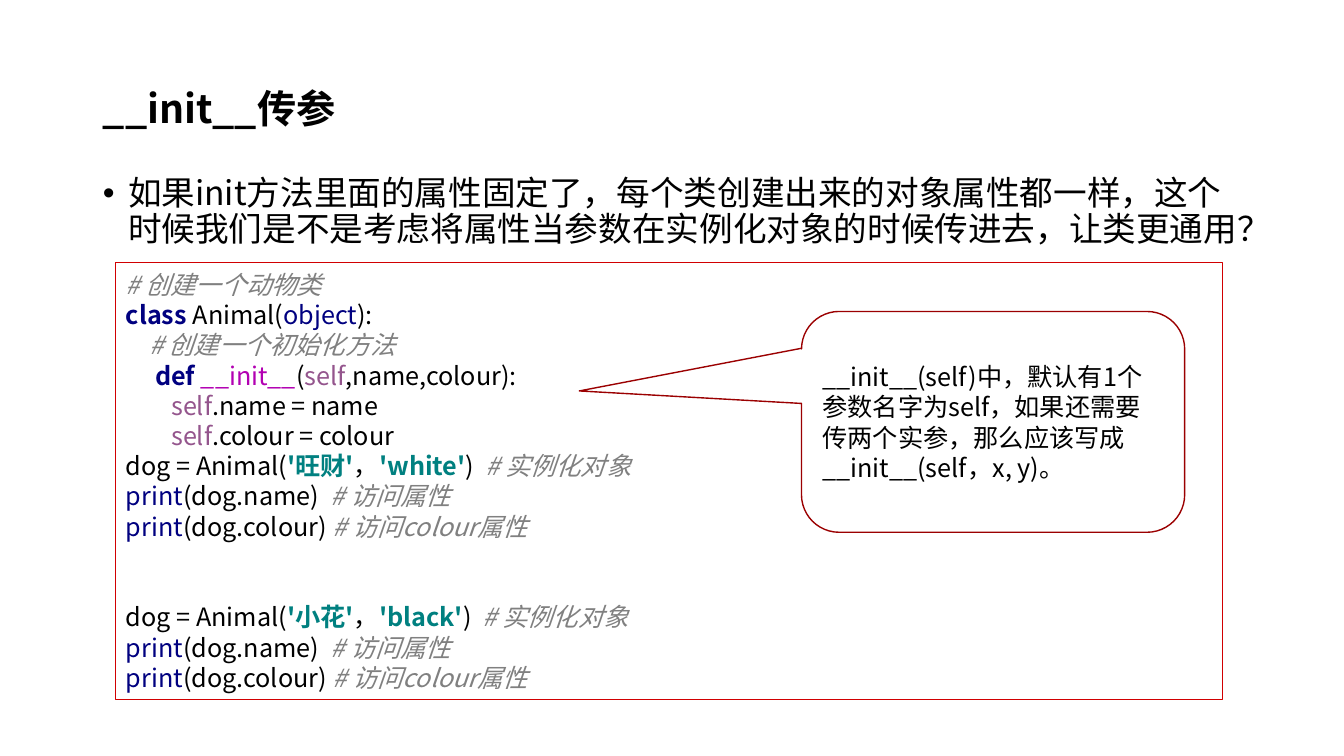
import dataclasses

import lxml.etree
import pptx
import pptx.dml.color
import pptx.enum.shapes
import pptx.enum.text
import pptx.oxml.ns
import pptx.util

Inches = pptx.util.Inches
Pt = pptx.util.Pt
qn = pptx.oxml.ns.qn
ANCHOR = pptx.enum.text.MSO_ANCHOR
ALIGN = pptx.enum.text.PP_ALIGN
FIT = pptx.enum.text.MSO_AUTO_SIZE
SHAPE = pptx.enum.shapes.MSO_SHAPE


@dataclasses.dataclass(frozen=True)
class Theme:
    font: str = "Noto Sans CJK SC"
    title_size: int = 28
    body_size: int = 24
    code_size: int = 18
    text: str = "000000"
    paper: str = "FFFFFF"
    comment: str = "808080"
    keyword: str = "000080"
    magic: str = "B200B2"
    self_arg: str = "94558D"
    string: str = "008080"
    code_border: str = "D10001"
    callout_border: str = "9B0001"


@dataclasses.dataclass
class SlideBuilder:
    theme: Theme
    slide: object

    def rgb(self, color):
        return pptx.dml.color.RGBColor.from_string(color)

    def place(self, sp, box):
        sp.left, sp.top, sp.width, sp.height = (Inches(v) for v in box)

    def run(self, p, text, size, color=None, bold=False, italic=False):
        r = p.add_run()
        r.text = text
        r.font.name = self.theme.font
        r.font.size = Pt(size)
        r.font.bold = bold
        r.font.italic = italic
        r.font.color.rgb = self.rgb(color or self.theme.text)
        ea = lxml.etree.Element(qn("a:ea"), typeface=self.theme.font)
        r.font._element.find(qn("a:latin")).addnext(ea)

    def indent(self, p, left, first=0):
        pPr = p._p.get_or_add_pPr()
        pPr.set("marL", str(Inches(left)))
        pPr.set("indent", str(Inches(first)))

    def title(self, text, box):
        sp = self.slide.shapes.title
        self.place(sp, box)
        tf = sp.text_frame
        tf.auto_size = FIT.NONE
        tf.vertical_anchor = ANCHOR.MIDDLE
        p = tf.paragraphs[0]
        p.alignment = ALIGN.LEFT
        p.line_spacing = 0.9
        self.run(p, text, self.theme.title_size, bold=True)

    def bullet(self, text, box):
        sp = self.slide.placeholders[1]
        self.place(sp, box)
        tf = sp.text_frame
        tf.auto_size = FIT.NONE
        p = tf.paragraphs[0]
        p.line_spacing = 0.9
        p.space_before = Pt(10)
        self.indent(p, 0.25, -0.25)
        self.run(p, text, self.theme.body_size)

    def shape(self, kind, box, border, width):
        sp = self.slide.shapes.add_shape(kind, *(Inches(v) for v in box))
        sp.shadow.inherit = False
        sp.line.color.rgb = self.rgb(border)
        sp.line.width = Pt(width)
        tf = sp.text_frame
        tf.word_wrap = True
        tf.vertical_anchor = ANCHOR.MIDDLE
        return sp

    def code(self, blocks, box, block_gap):
        sp = self.shape(SHAPE.RECTANGLE, box, self.theme.code_border, 0.75)
        sp.fill.solid()
        sp.fill.fore_color.rgb = self.rgb(self.theme.paper)
        tf = sp.text_frame
        tf.auto_size = FIT.SHAPE_TO_FIT_TEXT
        p = None
        for block in blocks:
            for i, (left, tokens) in enumerate(block):
                gap = block_gap if p is not None and i == 0 else 0
                p = tf.paragraphs[0] if p is None else tf.add_paragraph()
                p.alignment = ALIGN.LEFT
                p.space_before = Pt(gap)
                self.indent(p, left)
                for text, kind in tokens:
                    self.run(p, text, self.theme.code_size,
                             getattr(self.theme, kind.removeprefix("bold_")),
                             bold=kind in ("bold_keyword", "string"),
                             italic=kind == "comment")

    def callout(self, text, box, adjustments):
        sp = self.shape(SHAPE.ROUNDED_RECTANGULAR_CALLOUT, box,
                        self.theme.callout_border, 1)
        sp.fill.background()
        for i, value in enumerate(adjustments):
            sp.adjustments[i] = value
        p = sp.text_frame.paragraphs[0]
        p.alignment = ALIGN.LEFT
        self.run(p, text, self.theme.code_size)


def class_lines():
    fields = [(0.45, [("self", "self_arg"), (f".{name} = {name}", "text")])
              for name in ("name", "colour")]
    return [
        (0, [("# 创建一个动物类", "comment")]),
        (0, [("class ", "bold_keyword"), ("Animal(", "text"),
             ("object", "keyword"), ("):", "text")]),
        (0.23, [("# 创建一个初始化方法", "comment")]),
        (0.29, [("def ", "bold_keyword"), ("__init__", "magic"), ("(", "text"),
                ("self", "self_arg"), (",name,colour):", "text")]),
        *fields,
    ]


def dog_lines(name, colour):
    return [
        (0, [("dog = Animal(", "text"), (f"'{name}'", "string"), ("，", "text"),
             (f"'{colour}'", "string"), (")  ", "text"),
             ("# 实例化对象", "comment")]),
        (0, [("print", "keyword"), ("(dog.name)  ", "text"),
             ("# 访问属性", "comment")]),
        (0, [("print", "keyword"), ("(dog.colour) ", "text"),
             ("# 访问colour属性", "comment")]),
    ]


def main():
    prs = pptx.Presentation()
    prs.slide_width = Inches(13.33)
    prs.slide_height = Inches(7.5)
    s = SlideBuilder(Theme(), prs.slides.add_slide(prs.slide_layouts[1]))
    s.title("__init__传参", (0.92, 0.59, 11.5, 1.01))
    s.bullet("如果init方法里面的属性固定了，每个类创建出来的对象属性都一样，"
             "这个时候我们是不是考虑将属性当参数在实例化对象的时候传进去，让类更通用？",
             (0.92, 1.7, 11.5, 5.06))
    s.code([class_lines() + dog_lines("旺财", "white"), dog_lines("小花", "black")],
           (1.15, 2.6, 10.98, 4.34), block_gap=43.2)
    s.callout("__init__(self)中，默认有1个参数名字为self，如果还需要传两个实参，"
              "那么应该写成__init__(self，x, y)。",
              (7.95, 3.09, 3.8, 2.19), (-1.08, -0.14, 0.17))
    prs.save("out.pptx")


if __name__ == "__main__":
    main()
